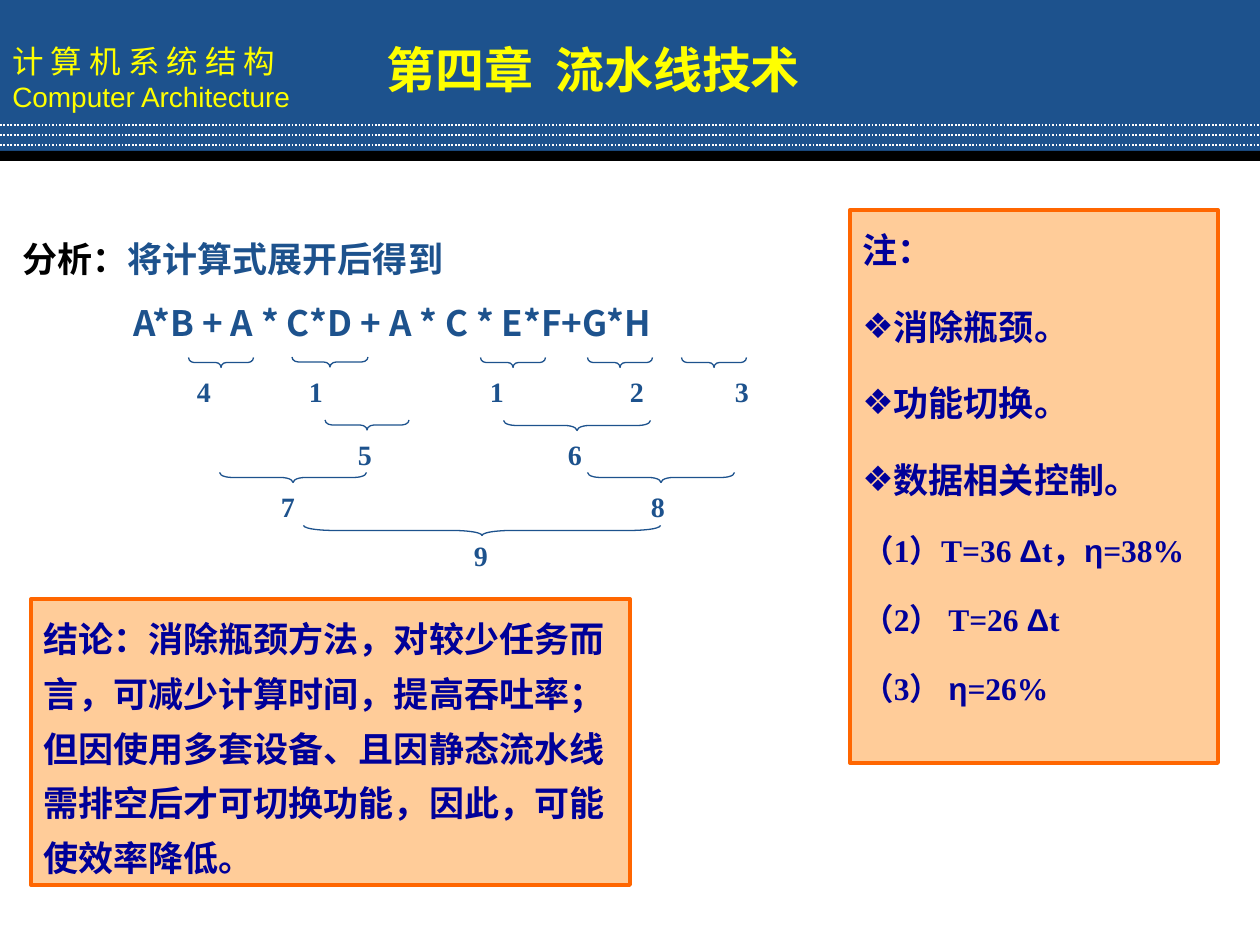
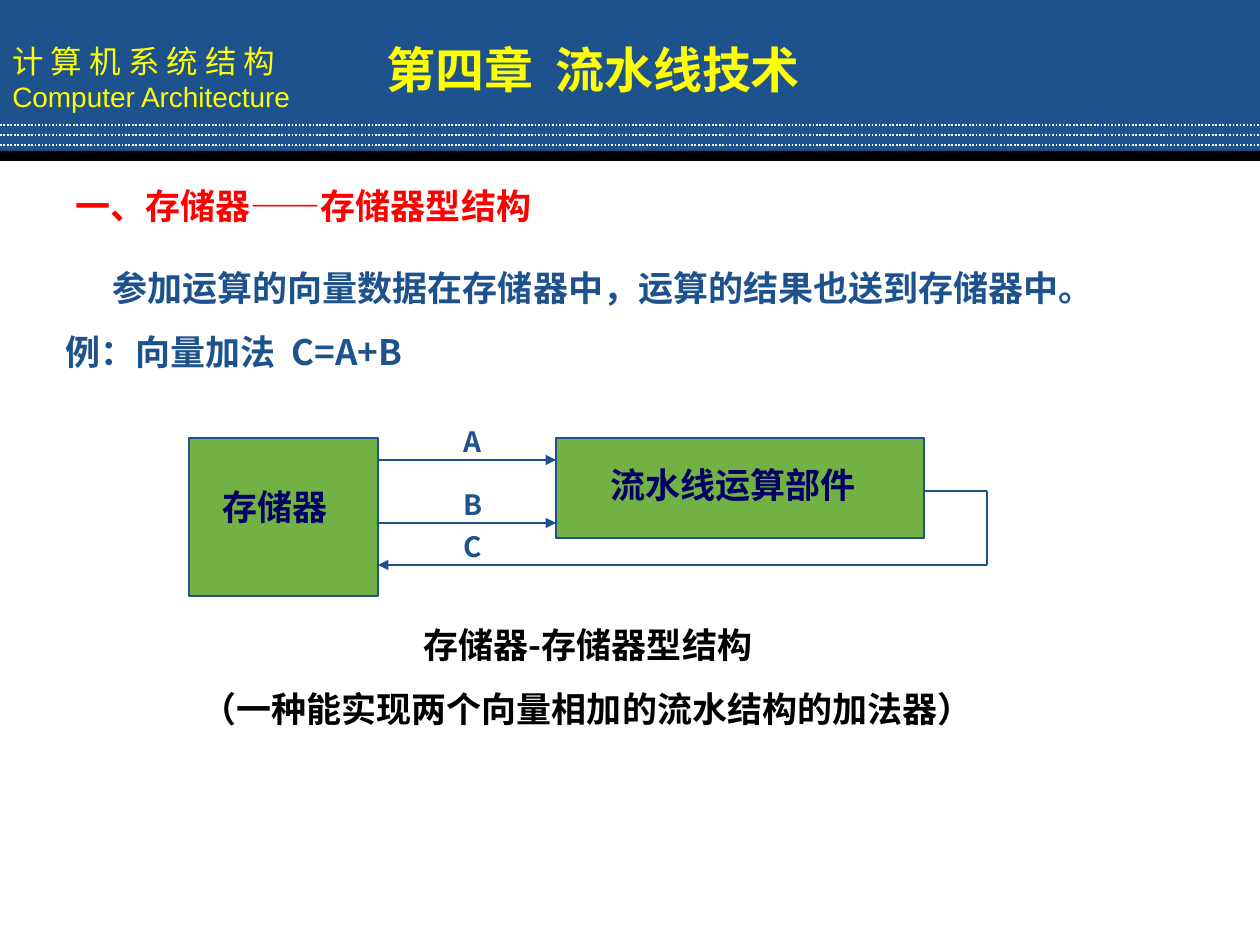
"""Build two slides on pipelining: task analysis and a memory-memory structure."""
from lxml.etree import SubElement as Sub
from pptx import Presentation
from pptx.dml.color import RGBColor as RGB
from pptx.enum.dml import MSO_LINE as Dash
from pptx.enum.shapes import MSO_CONNECTOR as Conn, MSO_SHAPE as Form
from pptx.enum.text import MSO_ANCHOR as Anchor, MSO_AUTO_SIZE as Fit, PP_ALIGN as Align
from pptx.oxml.ns import qn
from pptx.util import Pt

PX = 914400 // 126
HUES = {
    "blue": "1D528D", "yellow": "FFFF00", "black": "000000", "white": "FFFFFF",
    "peach": "FFCC99", "orange": "FF6600", "navy": "000099", "ink": "000066",
    "red": "FF0000", "green": "72B143",
}
HAN, SANS, SERIF = "Noto Sans CJK SC", "Arial", "Times New Roman"

TITLE = "第四章  流水线技术"
COURSE = [
    {"runs": [("计 算 机 系 统 结 构", HAN)], "size": 18, "bold": False},
    {"runs": [("Computer Architecture", SANS)], "size": 16, "bold": False},
]
STRIPES = [125, 135, 145]

SUM = [
    {"runs": [("分析：", HAN, "black"), ("将计算式展开后得到", HAN)]},
    {"runs": [("A*B + A * C*D + A * C * E*F+G*H", HAN)], "left": 111},
]
LEVELS = [
    {"top": 357, "spans": [(189, 65), (292, 76), (481, 65), (588, 65), (682, 65)],
     "base": 368, "marks": [("4", 204), ("1", 316), ("1", 497), ("2", 637), ("3", 742)]},
    {"top": 420, "spans": [(325, 84), (504, 147)],
     "base": 431, "marks": [("5", 365), ("6", 575)]},
    {"top": 472, "spans": [(220, 147), (588, 147)],
     "base": 483, "marks": [("7", 288), ("8", 658)]},
    {"top": 525, "spans": [(304, 357)],
     "base": 532, "marks": [("9", 481)]},
]
RESULT = [{"runs": [(
    "结论：消除瓶颈方法，对较少任务而言，可减少计算时间，提高吞吐率；"
    "但因使用多套设备、且因静态流水线需排空后才可切换功能，因此，可能使效率降低。", HAN)], "lead": 1.3}]
POINTS = ["消除瓶颈。", "功能切换。", "数据相关控制。"]
CASES = [
    [("（1）T=36 ", SERIF), ("Δ", SANS), ("t，", SERIF), ("η", SANS), ("=38%", SERIF)],
    [("（2） T=26 ", SERIF), ("Δ", SANS), ("t", SERIF)],
    [("（3） ", SERIF), ("η", SANS), ("=26%", SERIF)],
]
NOTES = (
    [{"runs": [("注：", HAN)], "lead": 1.3}]
    + [{"runs": [(p, HAN)], "lead": 1.3, "mark": "❖"} for p in POINTS]
    + [{"runs": c, "lead": 1.3, "size": 18, "gap": 11.2} for c in CASES]
)

HEAD = [{"runs": [("一、存储器——存储器型结构", HAN)]}]
INTRO = [
    {"runs": [("参加运算的向量数据在存储器中，运算的结果也送到存储器中。", HAN)], "first": 47},
    {"runs": [("例：向量加法  C=A+B", HAN)]},
]
CAPTION = [
    {"runs": [("存储器-存储器型结构", HAN)], "align": Align.CENTER},
    {"runs": [("（一种能实现两个向量相加的流水结构的加法器）", HAN)]},
]
UNITS = [
    ("存储器", (189, 438, 189, 158), (210, 479, 137, 55)),
    ("流水线运算部件", (556, 438, 368, 100), (598, 457, 284, 55)),
]
WIRES = [
    ((378, 460), (556, 460), True),
    ((378, 523), (556, 523), True),
    ((924, 491), (987, 491), False),
    ((987, 491), (987, 565), False),
    ((987, 565), (378, 565), True),
]
LABELS = [("A", 418), ("B", 481), ("C", 523)]


def rgb(name):
    """Return the named colour."""
    return RGB.from_string(HUES[name])


def emu(*nums):
    """Scale px to EMU."""
    return [n * PX for n in nums]


def write(frame, paras, hue, anchor=Anchor.TOP):
    """Fill a text frame paragraph by paragraph, run by run."""
    frame.word_wrap = True
    frame.auto_size = Fit.NONE
    frame.vertical_anchor = anchor
    for i, item in enumerate(paras):
        para = frame.paragraphs[0] if i == 0 else frame.add_paragraph()
        prop = para._p.get_or_add_pPr()
        left, first = emu(item.get("left", 0), item.get("first", 0))
        prop.set("marL", str(left))
        prop.set("indent", str(first))
        if "mark" in item:
            tint = Sub(prop, qn("a:buClr"))
            Sub(tint, qn("a:srgbClr"), val=HUES[hue])
            Sub(prop, qn("a:buFont"), typeface=SANS)
            Sub(prop, qn("a:buChar"), char=item["mark"])
        else:
            Sub(prop, qn("a:buNone"))
        para.alignment = item.get("align", Align.LEFT)
        para.space_before = Pt(item.get("gap", 12.5) if i else 0)
        para.line_spacing = item.get("lead", 1.0)
        for text, face, *own in item["runs"]:
            run = para.add_run()
            run.text = text
            font = run.font
            font.name, font.size = face, Pt(item.get("size", 20))
            font.bold = item.get("bold", True)
            font.color.rgb = rgb(own[0] if own else hue)
            Sub(font._element, qn("a:ea"), typeface=HAN)


def put(slide, box, paras, hue):
    """Add a text box."""
    write(slide.shapes.add_textbox(*emu(*box)).text_frame, paras, hue)


def draw(slide, form, box, fill=None, edge=None, width=0.75):
    """Add a preset shape without a shadow."""
    shape = slide.shapes.add_shape(form, *emu(*box))
    shape.shadow.inherit = False
    if fill:
        shape.fill.solid()
        shape.fill.fore_color.rgb = rgb(fill)
    else:
        shape.fill.background()
    if edge:
        shape.line.color.rgb = rgb(edge)
        shape.line.width = Pt(width)
    else:
        shape.line.fill.background()
    return shape


def link(slide, start, end, hue, width=0.75, arrow=False, dash=None):
    """Add a straight line, with an arrowhead if asked."""
    wire = slide.shapes.add_connector(Conn.STRAIGHT, *emu(*start, *end))
    wire.line.color.rgb = rgb(hue)
    wire.line.width = Pt(width)
    if dash:
        wire.line.dash_style = dash
    if arrow:
        Sub(wire.line._get_or_add_ln(), qn("a:tailEnd"), type="triangle")
    Sub(wire._element.spPr, qn("a:effectLst"))
    return wire


def brace(slide, x, y, span):
    """Add a brace that points down."""
    deep = 10
    box = (x + (span - deep) // 2, y - (span - deep) // 2, deep, span)
    shape = draw(slide, Form.RIGHT_BRACE, box, edge="blue")
    shape.rotation = 90
    shape.adjustments[0] = span / 12 / deep


def dress(layout, slide):
    """Move the shared band into the layout."""
    for hold in list(layout.placeholders)[1:]:
        hold.element.getparent().remove(hold.element)
    band = draw(slide, Form.RECTANGLE, (0, 0, 1260, 155), "blue")
    write(band.text_frame, [dict(p, gap=0) for p in COURSE], "yellow", Anchor.MIDDLE)
    parts = [band, draw(slide, Form.RECTANGLE, (0, 151, 1260, 10), "black")]
    parts += [link(slide, (0, y), (1260, y), "white", 1, dash=Dash.ROUND_DOT) for y in STRIPES]
    for i, part in enumerate(parts):
        layout.shapes.element.insert(2 + i, part.element)


def start(deck):
    """Add a slide with the chapter title."""
    slide = deck.slides.add_slide(deck.slide_layouts[5])
    title = slide.shapes.title
    title.left, title.top, title.width, title.height = emu(357, 33, 472, 72)
    write(title.text_frame, [{"runs": [(TITLE, HAN)], "size": 28, "align": Align.CENTER}], "yellow")
    return slide


def study(slide):
    """Fill the slide that analyses the sum."""
    put(slide, (10, 231, 1176, 118), SUM, "blue")
    wide = 52
    for level in LEVELS:
        for x, span in level["spans"]:
            brace(slide, x, level["top"], span)
        for mark, mid in level["marks"]:
            box = (mid - wide // 2, level["base"], wide, 46)
            put(slide, box, [{"runs": [(mark, SERIF)], "size": 16, "align": Align.CENTER}], "blue")
    for box, paras in (((31, 599, 599, 286), RESULT), ((850, 210, 368, 553), NOTES)):
        card = draw(slide, Form.RECTANGLE, box, "peach", "orange", 2.25)
        write(card.text_frame, paras, "navy")


def store(slide):
    """Fill the slide on the memory-memory structure."""
    put(slide, (63, 178, 662, 55), HEAD, "red")
    put(slide, (53, 260, 1103, 118), INTRO, "blue")
    for name, box, spot in UNITS:
        draw(slide, Form.RECTANGLE, box, "green", "blue")
        put(slide, spot, [{"runs": [(name, HAN)]}], "ink")
    for head, end, arrow in WIRES:
        link(slide, head, end, "blue", arrow=arrow)
    for name, y in LABELS:
        put(slide, (451, y, 53, 46), [{"runs": [(name, HAN)], "size": 16}], "blue")
    put(slide, (189, 617, 798, 118), CAPTION, "black")


def main():
    """Build and save the deck."""
    deck = Presentation()
    deck.slide_width, deck.slide_height = emu(1260, 945)
    for i, fill in enumerate((study, store)):
        slide = start(deck)
        if i == 0:
            dress(deck.slide_layouts[5], slide)
        fill(slide)
    deck.save("out.pptx")


if __name__ == "__main__":
    main()
